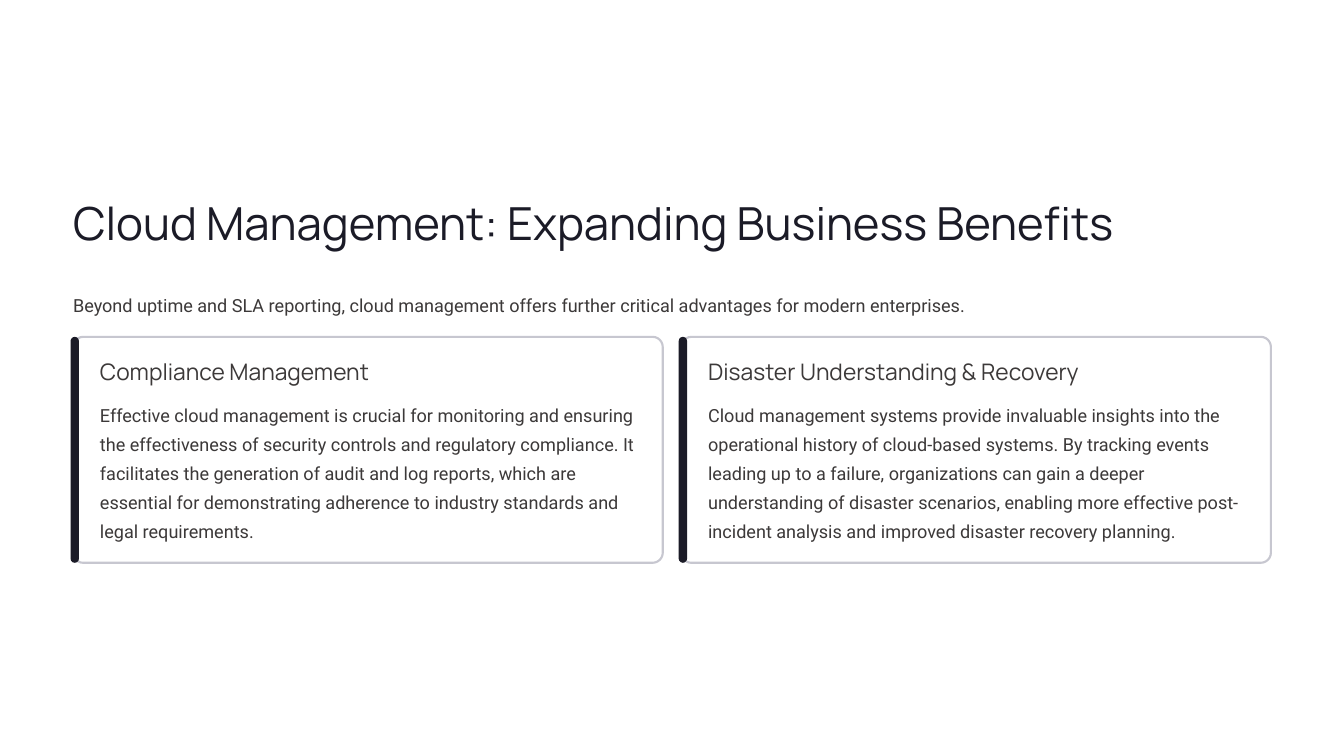
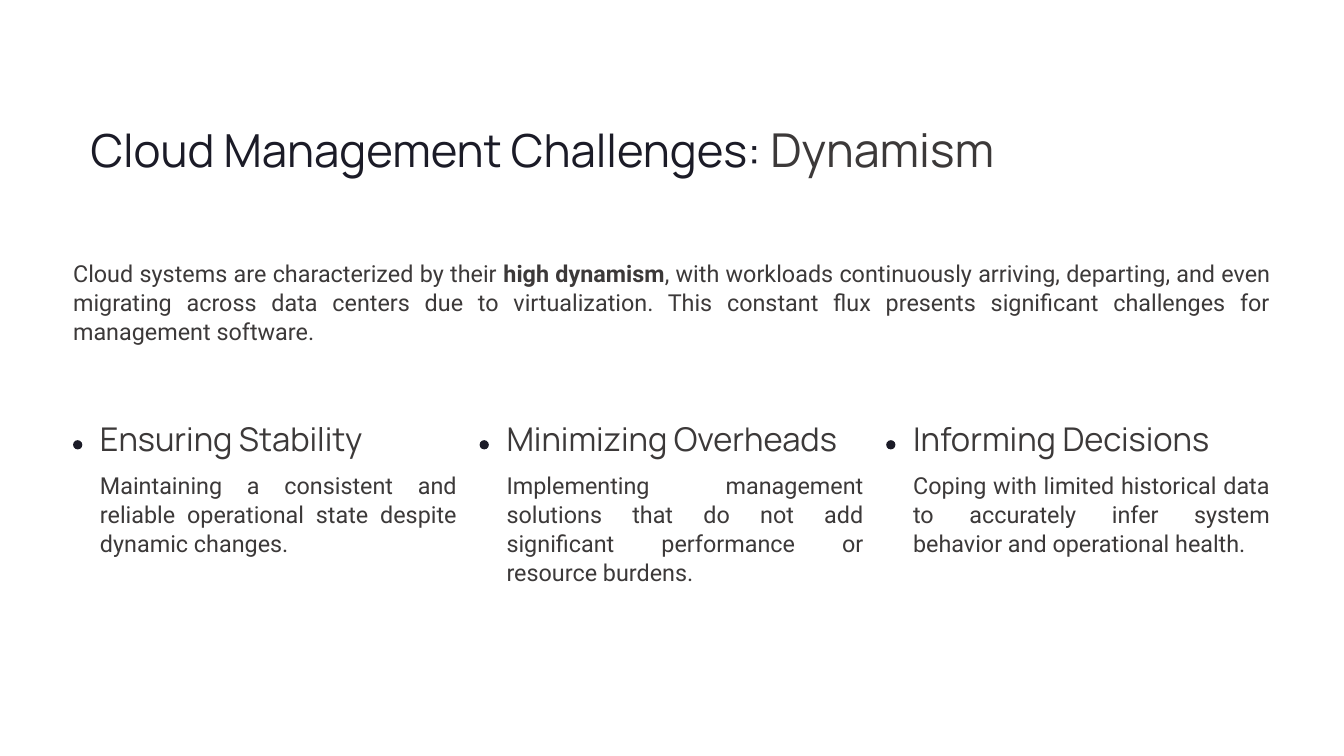
from pptx import Presentation
from pptx.dml.color import RGBColor
from pptx.enum.shapes import MSO_SHAPE
from pptx.enum.text import PP_ALIGN
from pptx.oxml.ns import qn
from pptx.util import Pt
from lxml.etree import SubElement

PX = 9144  # 100 px to the inch
INK, GREY, EDGE, WHITE = "1B1B27", "3C3939", "C7C7D0", "FFFFFF"
HEAD, BODY = "Manrope", "Roboto"
LEFT, WIDE = 87, 1426


def rgb(code):
    return RGBColor.from_string(code)


def emu(box):
    return [n * PX for n in box]


def write(slide, box, text, font=BODY, size=15.5, color=GREY, lead=25,
          wrap=True, just=False, inset=(0, 0)):
    """Add a text box; text is a string or a list of (string, format) runs."""
    frame = slide.shapes.add_textbox(*emu(box)).text_frame
    frame.word_wrap = wrap
    frame.margin_left = frame.margin_right = inset[0] * PX
    frame.margin_top = frame.margin_bottom = inset[1] * PX
    para = frame.paragraphs[0]
    if lead:
        para.line_spacing = Pt(lead)
    if just:
        para.alignment = PP_ALIGN.JUSTIFY
    for words, form in [(text, {})] if isinstance(text, str) else text:
        run = para.add_run()
        run.text = words
        run.font.name = font
        run.font.size = Pt(form.get("size", size))
        run.font.bold = form.get("bold", False)
        run.font.color.rgb = rgb(form.get("color", color))


def title(slide, box, text, **form):
    write(slide, box, text, font=HEAD, size=39, color=INK, **form)


def block(slide, box, fill, round, line=None, alpha=None):
    """Add a rounded rectangle; alpha is the fill's opacity in percent."""
    shape = slide.shapes.add_shape(MSO_SHAPE.ROUNDED_RECTANGLE, *emu(box))
    shape.shadow.inherit = False
    shape.adjustments[0] = round
    shape.fill.solid()
    shape.fill.fore_color.rgb = rgb(fill)
    if alpha:
        tint = shape.fill._xPr.find(qn("a:solidFill"))[0]
        SubElement(tint, qn("a:alpha")).set("val", str(alpha * 1000))
    if line:
        shape.line.color.rgb = rgb(line)
        shape.line.width = Pt(1.8)
    else:
        shape.line.fill.background()


def card(slide, box, head, text):
    x, y, w, h = box
    block(slide, box, WHITE, 0.045, line=EDGE, alpha=95)
    block(slide, (x - 3, y, 10, h), INK, 0.5)
    write(slide, (x + 32, y + 24, w - 64, 34), head, font=HEAD, size=19.5,
          lead=24, wrap=False)
    write(slide, (x + 32, y + 71, w - 56, h - 95), text)


def point(slide, box, head, text):
    x, y, w, h = box
    block(slide, (x, y + 12, 11, 11), INK, 0.5)
    write(slide, (x + 32, y, w - 32, 34), head, font=HEAD, size=28, lead=24,
          just=True)
    write(slide, (x + 32, y + 47, w - 32, h - 47), text, size=20, just=True)


def row(slide, make, top, high, gap, items):
    """Share the content width equally among the items."""
    count = len(items)
    wide = (WIDE + gap) // count - gap
    for i, (head, text) in enumerate(items):
        left = LEFT + i * (WIDE + gap) // count
        make(slide, (left, top, wide, high), head, text)


def benefits(slide):
    title(slide, (LEFT, 230, 1244, 68),
          "Cloud Management: Expanding Business Benefits",
          lead=48.5, wrap=False)
    write(slide, (LEFT, 342, WIDE, 35),
          "Beyond uptime and SLA reporting, cloud management offers further "
          "critical advantages for modern enterprises.", wrap=False)
    row(slide, card, 401, 269, 22, [
        ("Compliance Management",
         "Effective cloud management is crucial for monitoring and ensuring "
         "the effectiveness of security controls and regulatory compliance. "
         "It facilitates the generation of audit and log reports, which are "
         "essential for demonstrating adherence to industry standards and "
         "legal requirements."),
        ("Disaster Understanding & Recovery",
         "Cloud management systems provide invaluable insights into the "
         "operational history of cloud-based systems. By tracking events "
         "leading up to a failure, organizations can gain a deeper "
         "understanding of disaster scenarios, enabling more effective "
         "post-incident analysis and improved disaster recovery planning."),
    ])


def dynamism(slide):
    title(slide, (98, 139, 1177, 143),
          [("Cloud Management Challenges: ", {}),
           ("Dynamism", {"size": 40, "color": GREY})],
          lead=None, just=True, inset=(10, 5))
    write(slide, (LEFT, 307, WIDE, 69),
          [("Cloud systems are characterized by their ", {}),
           ("high dynamism", {"bold": True}),
           (", with workloads continuously arriving, departing, and even "
            "migrating across data centers due to virtualization. This "
            "constant flux presents significant challenges for management "
            "software.", {})],
          size=20, just=True)
    row(slide, point, 512, 151, 27, [
        ("Ensuring Stability",
         "Maintaining a consistent and reliable operational state despite "
         "dynamic changes."),
        ("Minimizing Overheads",
         "Implementing management solutions that do not add significant "
         "performance or resource burdens."),
        ("Informing Decisions",
         "Coping with limited historical data to accurately infer system "
         "behavior and operational health."),
    ])


def main():
    deck = Presentation()
    deck.slide_width, deck.slide_height = emu((1600, 900))
    for fill in (benefits, dynamism):
        fill(deck.slides.add_slide(deck.slide_layouts[6]))
    deck.save("out.pptx")


if __name__ == "__main__":
    main()
